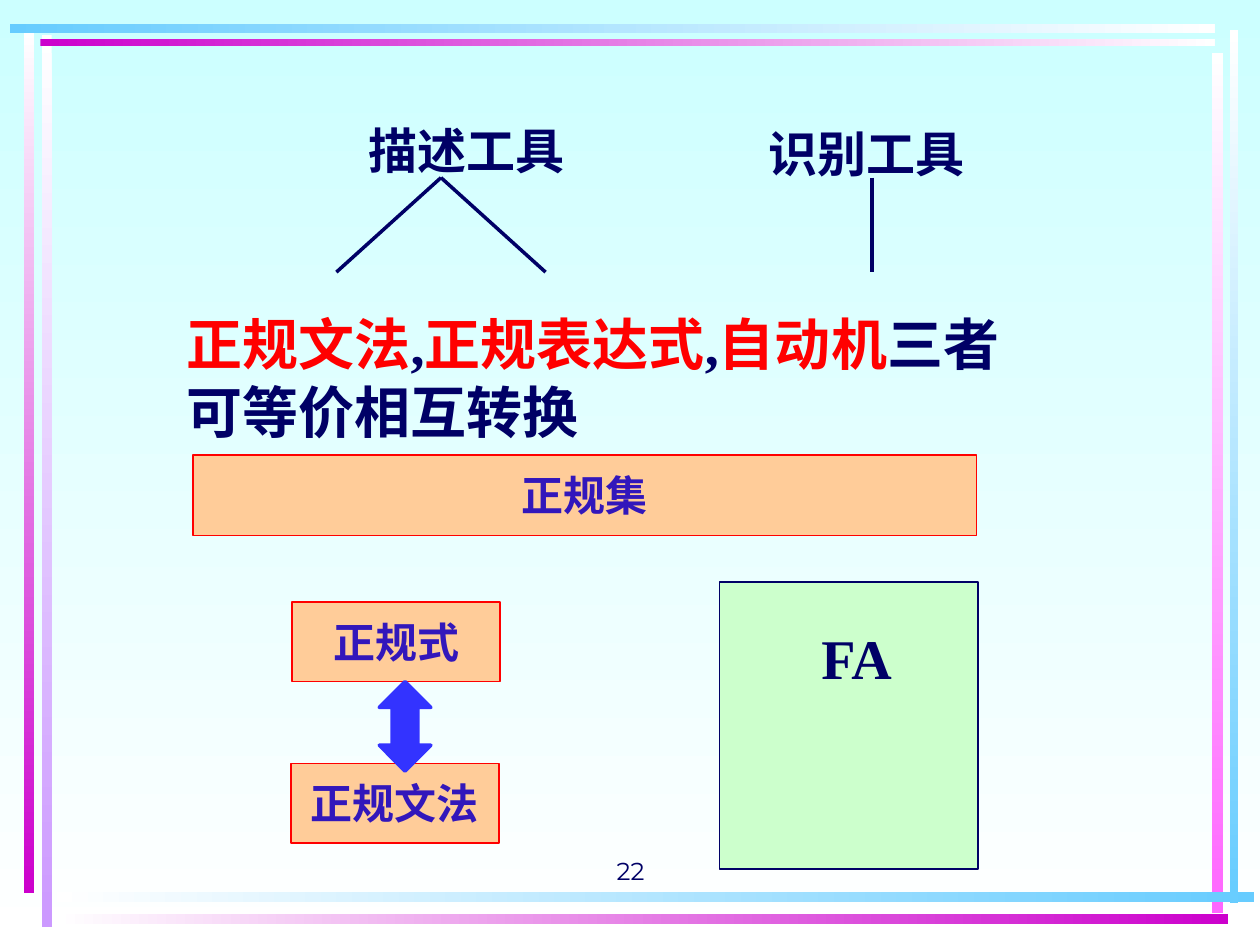
from pptx import Presentation
from pptx.dml.color import RGBColor
from pptx.enum.shapes import MSO_CONNECTOR, MSO_SHAPE
from pptx.enum.text import MSO_ANCHOR, PP_ALIGN
from pptx.oxml.ns import qn
from pptx.util import Inches, Pt
from lxml import etree

COLORS = {
    "navy": "000066", "red": "FF0000", "indigo": "3217BB", "blue": "3333FF",
    "peach": "FFCC99", "mint": "CCFFCC", "ice": "CCFFFF", "white": "FFFFFF",
    "sky": "66CCFF", "magenta": "CC00CC", "lilac": "CC99FF", "pink": "FF66FF",
}
RGB = {name: RGBColor.from_string(code) for name, code in COLORS.items()}
SERIF, SANS, NUMBER = "Times New Roman", "Noto Sans CJK SC", "Montserrat"


def set_gradient(fill, start, end, angle):
    fill.gradient()
    fill.gradient_angle = angle
    for stop, color in zip(fill.gradient_stops, (start, end)):
        stop.color.rgb = RGB[color]


def write(frame, parts, size, font, bold=True, align=PP_ALIGN.LEFT):
    paragraph = frame.paragraphs[0]
    paragraph.alignment = align
    for text, color in parts:
        run = paragraph.add_run()
        run.text = text
        run.font.size = Pt(size)
        run.font.bold = bold
        run.font.name = font
        run.font.color.rgb = RGB[color]
        etree.SubElement(run.font._element, qn("a:ea"), typeface=SANS)


prs = Presentation()
prs.slide_width, prs.slide_height = Inches(10), Inches(7.5)
slide = prs.slides.add_slide(prs.slide_layouts[6])
shapes = slide.shapes
set_gradient(slide.background.fill, "ice", "white", 270)

frame_bars = [
    (0.33, 0.28, 0.08, 7.08, "white", "lilac"),
    (0.19, 0.25, 0.08, 6.84, "white", "magenta"),
    (9.76, 0.24, 0.07, 6.93, "white", "sky"),
    (9.62, 0.42, 0.09, 6.83, "white", "pink"),
    (0.45, 7.08, 9.5, 0.08, "white", "sky"),
    (0.45, 7.25, 9.3, 0.08, "white", "magenta"),
    (0.32, 0.31, 9.32, 0.06, "magenta", "white"),
    (0.08, 0.19, 9.56, 0.07, "sky", "white"),
]
for left, top, width, height, start, end in frame_bars:
    bar = shapes.add_shape(MSO_SHAPE.RECTANGLE, Inches(left), Inches(top), Inches(width), Inches(height))
    bar.shadow.inherit = False
    bar.line.fill.background()
    set_gradient(bar.fill, start, end, 270 if height > width else 0)

boxes = [
    (MSO_SHAPE.RECTANGLE, 5.71, 4.62, 2.05, 2.28, "mint", "navy", 1, ""),
    (MSO_SHAPE.RECTANGLE, 1.53, 3.61, 6.22, 0.64, "peach", "red", 1, "正规集"),
    (MSO_SHAPE.RECTANGLE, 2.32, 4.78, 1.65, 0.63, "peach", "red", 1, "正规式"),
    (MSO_SHAPE.RECTANGLE, 2.31, 6.06, 1.65, 0.63, "peach", "red", 1, "正规文法"),
    (MSO_SHAPE.UP_DOWN_ARROW, 3.01, 5.41, 0.41, 0.71, "blue", "blue", 2, ""),
]
for kind, left, top, width, height, fill, line, weight, label in boxes:
    box = shapes.add_shape(kind, Inches(left), Inches(top), Inches(width), Inches(height))
    box.shadow.inherit = False
    box.fill.solid()
    box.fill.fore_color.rgb = RGB[fill]
    box.line.color.rgb = RGB[line]
    box.line.width = Pt(weight)
    if label:
        frame = box.text_frame
        frame.margin_left = frame.margin_right = frame.margin_top = frame.margin_bottom = 0
        frame.word_wrap = False
        frame.vertical_anchor = MSO_ANCHOR.MIDDLE
        write(frame, [(label, "indigo")], 24, SANS, align=PP_ALIGN.CENTER)

statement = [
    ("正规文法", "red"), (",", "navy"), ("正规表达式", "red"), (",", "navy"),
    ("自动机", "red"), ("三者可等价相互转换", "navy"),
]
texts = [
    (1.38, 2.41, 6.92, 1.17, statement, 32),
    (2.83, 0.91, 1.92, 0.57, [("描述工具", "navy")], 28),
    (6, 0.93, 1.92, 0.57, [("识别工具", "navy")], 28),
    (6.42, 4.9, 0.79, 1.17, [("FA", "navy")], 32),
]
for left, top, width, height, parts, size in texts:
    caption = shapes.add_textbox(Inches(left), Inches(top), Inches(width), Inches(height))
    caption.text_frame.word_wrap = True
    write(caption.text_frame, parts, size, SERIF)

page_number = shapes.add_textbox(Inches(3.42), Inches(6.58), Inches(3.17), Inches(0.5))
page_number.text_frame.word_wrap = True
page_number.text_frame.vertical_anchor = MSO_ANCHOR.BOTTOM
write(page_number.text_frame, [("22", "navy")], 14, NUMBER, bold=False, align=PP_ALIGN.CENTER)

for start, end in [(3.5, 2.67), (3.5, 4.33), (6.92, 6.92)]:
    branch = shapes.add_connector(MSO_CONNECTOR.STRAIGHT, Inches(start), Inches(1.41), Inches(end), Inches(2.16))
    branch.line.color.rgb = RGB["navy"]
    branch.line.width = Pt(2)
    etree.SubElement(branch._element.spPr, qn("a:effectLst"))

prs.save("out.pptx")
